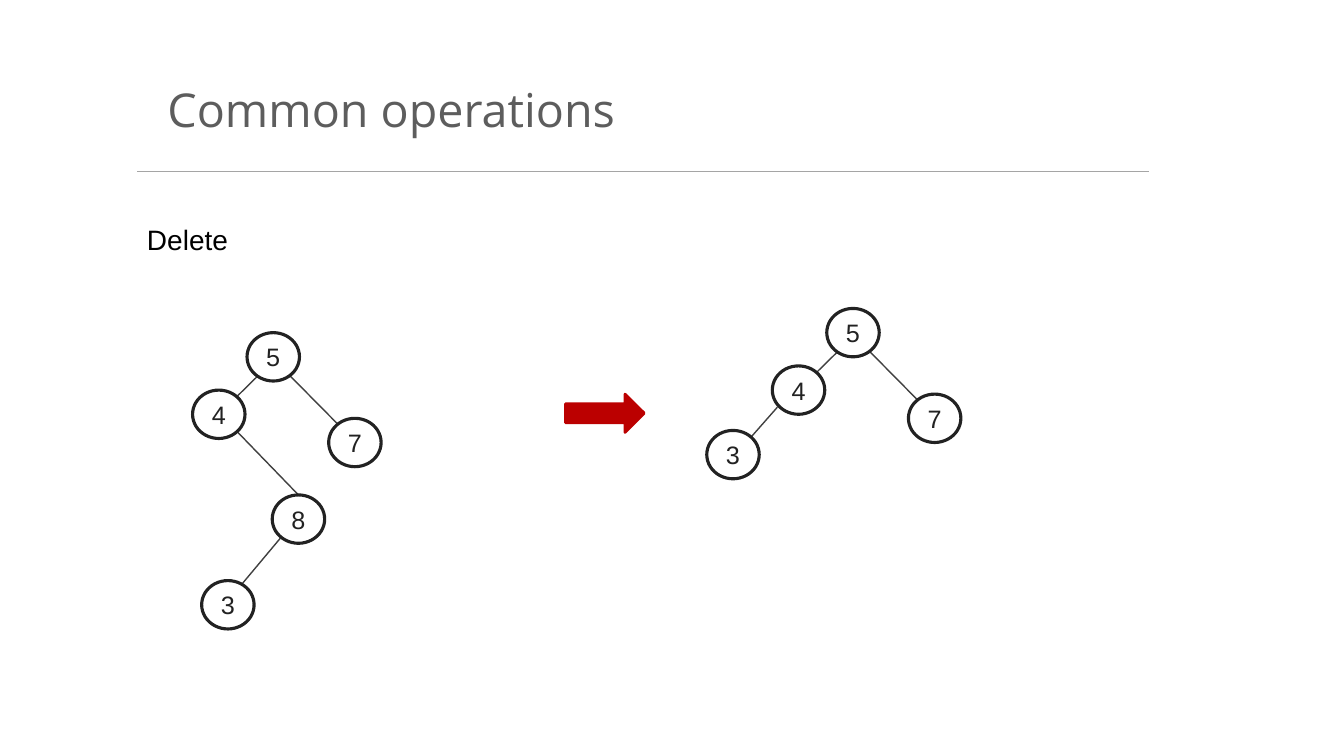
"""Build a slide showing deletion of a node from a binary tree."""
from dataclasses import dataclass

import pptx
import pptx.dml.color
import pptx.enum.shapes
import pptx.enum.text
import pptx.oxml
import pptx.oxml.ns
import pptx.util

Inches = pptx.util.Inches
Shape = pptx.enum.shapes.MSO_SHAPE
Align = pptx.enum.text.PP_ALIGN
Anchor = pptx.enum.text.MSO_ANCHOR

TITLE = "Common operations"
SUBTITLE = "Delete"
SHARED_NODES = [("5", 2.45, 3.3), ("4", 1.91, 3.87), ("7", 3.26, 4.15)]
SHARED_EDGES = [(2.13, 4.15, 2.74, 3.55), (3.55, 4.41, 2.73, 3.58)]
TREES = [
    {
        "offset": (0, 0),
        "nodes": [("8", 2.7, 4.91), ("3", 2, 5.76)],
        "edges": [(2.35, 4.28, 2.96, 4.91), (2.37, 5.83, 2.78, 5.34)],
    },
    {
        "offset": (5.75, -0.24),
        "nodes": [("3", 1.26, 4.51)],
        "edges": [(1.67, 4.61, 1.96, 4.28)],
    },
]
NODE_SIZE = (0.52, 0.48)
ARROW = (5.61, 3.91, 0.78, 0.38)


@dataclass(frozen=True)
class Theme:
    title: str = "5D5D5D"
    text: str = "000000"
    node: str = "222222"
    node_fill: str = "FFFFFF"
    edge: str = "404040"
    rule: str = "A5A5A5"
    arrow: str = "BB0000"
    title_font: str = "Open Sans"
    body_font: str = "Arial"
    title_size: float = 33.3
    body_size: float = 20
    node_size: float = 18


theme = Theme()


def rgb(value):
    return pptx.dml.color.RGBColor.from_string(value)


def write(s, text, size, color, font=theme.body_font, align=Align.LEFT,
          anchor=Anchor.TOP, margins=(0.1, 0.05, 0.1, 0.05), spacing=None, wrap=True):
    tf = s.text_frame
    tf.word_wrap = wrap
    tf.auto_size = pptx.enum.text.MSO_AUTO_SIZE.NONE
    tf.vertical_anchor = anchor
    tf.margin_left, tf.margin_top, tf.margin_right, tf.margin_bottom = map(Inches, margins)
    p = tf.paragraphs[0]
    p.alignment = align
    p.line_spacing = spacing
    r = p.add_run()
    r.text = text
    r.font.name = font
    r.font.size = pptx.util.Pt(size)
    r.font.color.rgb = rgb(color)


def add_line(shapes, points, color):
    s = shapes.add_connector(pptx.enum.shapes.MSO_CONNECTOR.STRAIGHT, *map(Inches, points))
    s.line.color.rgb = rgb(color)
    s.line.width = pptx.util.Pt(1)
    s._element.spPr.append(pptx.oxml.parse_xml(
        f"<a:effectLst {pptx.oxml.ns.nsdecls('a')}/>"))


def add_filled(shapes, kind, box, fill, line, width):
    s = shapes.add_shape(kind, *map(Inches, box))
    s.shadow.inherit = False
    s.fill.solid()
    s.fill.fore_color.rgb = rgb(fill)
    s.line.color.rgb = rgb(line)
    s.line.width = pptx.util.Pt(width)
    return s


def add_tree(shapes, offset, nodes, edges):
    dx, dy = offset
    for x1, y1, x2, y2 in SHARED_EDGES + edges:
        add_line(shapes, (x1 + dx, y1 + dy, x2 + dx, y2 + dy), theme.edge)
    for label, x, y in SHARED_NODES + nodes:
        s = add_filled(shapes, Shape.OVAL, (x + dx, y + dy, *NODE_SIZE),
                       theme.node_fill, theme.node, 2.25)
        write(s, label, theme.node_size, theme.node, align=Align.CENTER,
              anchor=Anchor.MIDDLE, margins=(0, 0, 0, 0), wrap=False)


def main():
    prs = pptx.Presentation()
    prs.slide_width, prs.slide_height = Inches(13.33), Inches(7.5)
    slide = prs.slides.add_slide(prs.slide_layouts[5])
    shapes = slide.shapes

    title = shapes.title
    title.left, title.top, title.width, title.height = map(Inches, (1.36, 0.78, 9.17, 0.71))
    write(title, TITLE, theme.title_size, theme.title, font=theme.title_font,
          anchor=Anchor.MIDDLE, margins=(0.3, 0.05, 0.05, 0.05), spacing=0.8)
    add_line(shapes, (1.36, 1.7, 11.4, 1.7), theme.rule)

    subtitle = shapes.add_textbox(*map(Inches, (1.36, 2.16, 9.17, 0.44)))
    write(subtitle, SUBTITLE, theme.body_size, theme.text)

    for tree in TREES:
        add_tree(shapes, **tree)
    add_filled(shapes, Shape.RIGHT_ARROW, ARROW, theme.arrow, theme.arrow, 2)
    prs.save("out.pptx")


if __name__ == "__main__":
    main()
